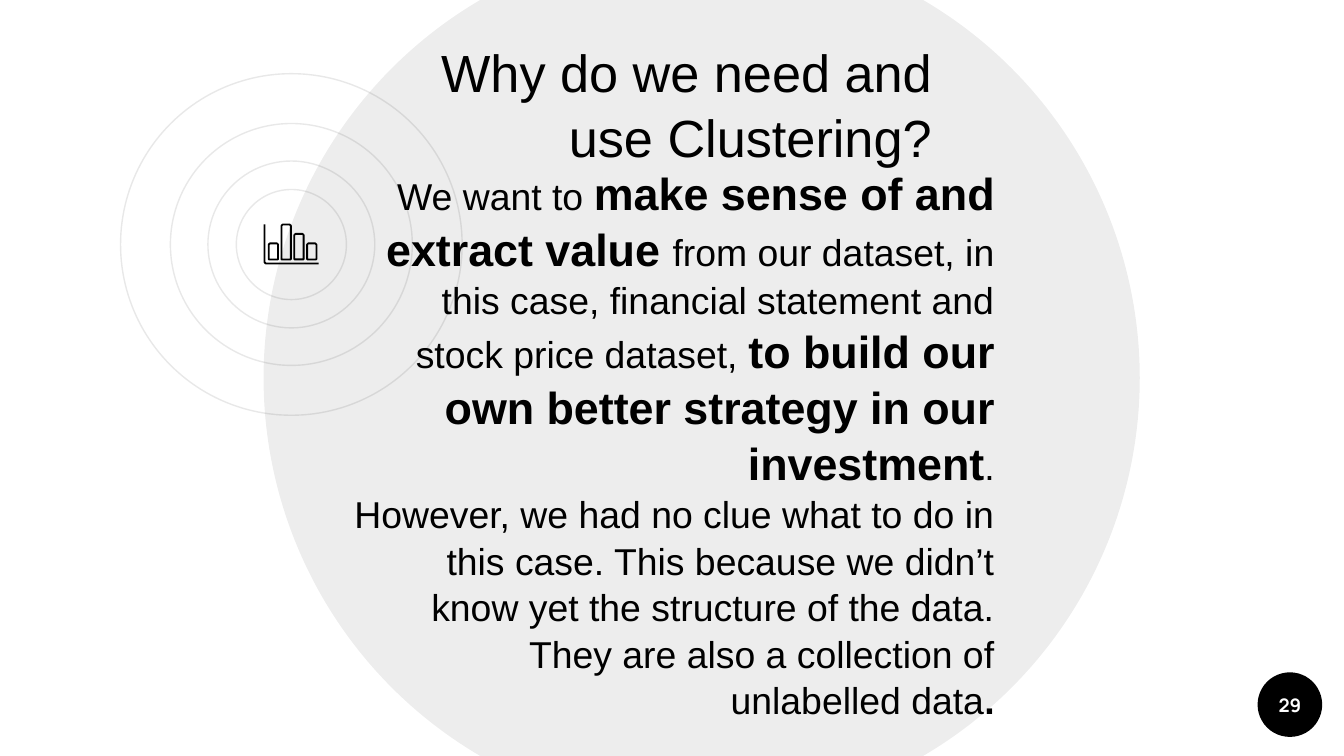
from lxml import etree
from pptx import Presentation
from pptx.dml.color import RGBColor
from pptx.enum.shapes import MSO_SHAPE
from pptx.enum.text import MSO_ANCHOR, PP_ALIGN
from pptx.oxml.ns import qn
from pptx.util import Pt

BLACK, WHITE, RING_GREY = "000000", "FFFFFF", "E8E8E8"
REGULAR = {"name": "Arial", "size": Pt(20), "bold": False}
STRONG = {"name": "Arial", "size": Pt(24), "bold": True}
TITLE = {"name": "Arial", "size": Pt(28), "bold": False}
NUMBER = {"name": "Manrope", "size": Pt(10), "bold": True}


def rgb(value):
    return RGBColor.from_string(value)


def style(sp, fill=None, line=None, width=0.75):
    sp.shadow.inherit = False
    if fill:
        sp.fill.solid()
        sp.fill.fore_color.rgb = rgb(fill)
    else:
        sp.fill.background()
    if line:
        sp.line.color.rgb = rgb(line)
        sp.line.width = Pt(width)
    else:
        sp.line.fill.background()


def add_circle(shapes, cx, cy, diameter, **look):
    left, top = cx - diameter / 2, cy - diameter / 2
    sp = shapes.add_shape(MSO_SHAPE.OVAL, Pt(left), Pt(top), Pt(diameter), Pt(diameter))
    style(sp, **look)
    return sp


def add_rings(s, cx, cy, diameters):
    group = s.shapes.add_group_shape()
    for diameter in diameters:
        add_circle(group.shapes, cx, cy, diameter, line=RING_GREY)


def add_backdrop(s, cx, cy, diameter):
    sp = add_circle(s.shapes, cx, cy, diameter, fill=BLACK)
    color = sp.fill._xPr.find(qn("a:solidFill"))[0]
    etree.SubElement(color, qn("a:alpha")).set("val", "7000")


def add_outline(shapes, points, close):
    builder = shapes.build_freeform(Pt(points[0][0]), Pt(points[0][1]))
    builder.add_line_segments([(Pt(x), Pt(y)) for x, y in points[1:]], close=close)
    style(builder.convert_to_shape(), line=BLACK, width=0.96)


def add_chart_icon(s, left, top, width, height):
    """Draw an L-shaped axis with four evenly spaced bars."""
    shapes = s.shapes.add_group_shape().shapes
    bottom = top + height
    add_outline(shapes, [(left, top), (left, bottom - 0.7), (left + 0.7, bottom),
                         (left + width, bottom)], False)
    bar_width, pitch, bevel, base = 5, 6.85, 0.6, bottom - 2.2
    for i, bar_height in enumerate((8.6, 18.7, 13.7, 8.6)):
        x, y = left + 2.3 + i * pitch, base - bar_height
        right = x + bar_width
        add_outline(shapes, [(right, base), (right, y + bevel), (right - bevel, y),
                             (x + bevel, y), (x, y + bevel), (x, base)], True)


def fill_text(tf, paragraphs, color, align, spacing=1.0):
    tf.word_wrap = True
    for i, runs in enumerate(paragraphs):
        p = tf.add_paragraph() if i else tf.paragraphs[0]
        p.alignment = align
        p.line_spacing = spacing
        for text, font in runs:
            r = p.add_run()
            r.text = text
            r.font.color.rgb = rgb(color)
            for name, value in font.items():
                setattr(r.font, name, value)


def add_text(s, left, top, width, height, paragraphs):
    box = s.shapes.add_textbox(Pt(left), Pt(top), Pt(width), Pt(height))
    fill_text(box.text_frame, paragraphs, BLACK, PP_ALIGN.RIGHT, 1.04)


def add_page_number(s, cx, cy, diameter, number):
    sp = add_circle(s.shapes, cx, cy, diameter, fill=BLACK)
    tf = sp.text_frame
    tf.vertical_anchor = MSO_ANCHOR.MIDDLE
    for side in ("left", "top", "right", "bottom"):
        setattr(tf, f"margin_{side}", 0)
    fill_text(tf, [[(number, NUMBER)]], WHITE, PP_ALIGN.CENTER)


def main():
    prs = Presentation()
    prs.slide_width, prs.slide_height = Pt(720), Pt(405)
    s = prs.slides.add_slide(prs.slide_layouts[6])

    add_page_number(s, 691, 377.5, 34.6, "29")
    add_rings(s, 156.1, 131, (183, 129.6, 89.4, 59))
    add_backdrop(s, 375.9, 202.5, 469.4)
    add_chart_icon(s, 141.7, 120.2, 29, 21)
    add_text(s, 224.6, 16.6, 281.5, 74.9,
             [[("Why do we need and use Clustering?", TITLE)]])
    add_text(s, 180, 84.2, 360, 298.1, [
        [("We want to ", REGULAR),
         ("make sense of and extract value ", STRONG),
         ("from our dataset, in this case, financial statement and stock price dataset, ",
          REGULAR),
         ("to build our own better strategy in our investment", STRONG),
         (".", REGULAR)],
        [("However, we had no clue what to do in this case. This because we didn’t know yet "
          "the structure of the data. They are also a collection of unlabelled data", REGULAR),
         (".", {**REGULAR, "bold": True})],
    ])
    prs.save("out.pptx")


if __name__ == "__main__":
    main()
